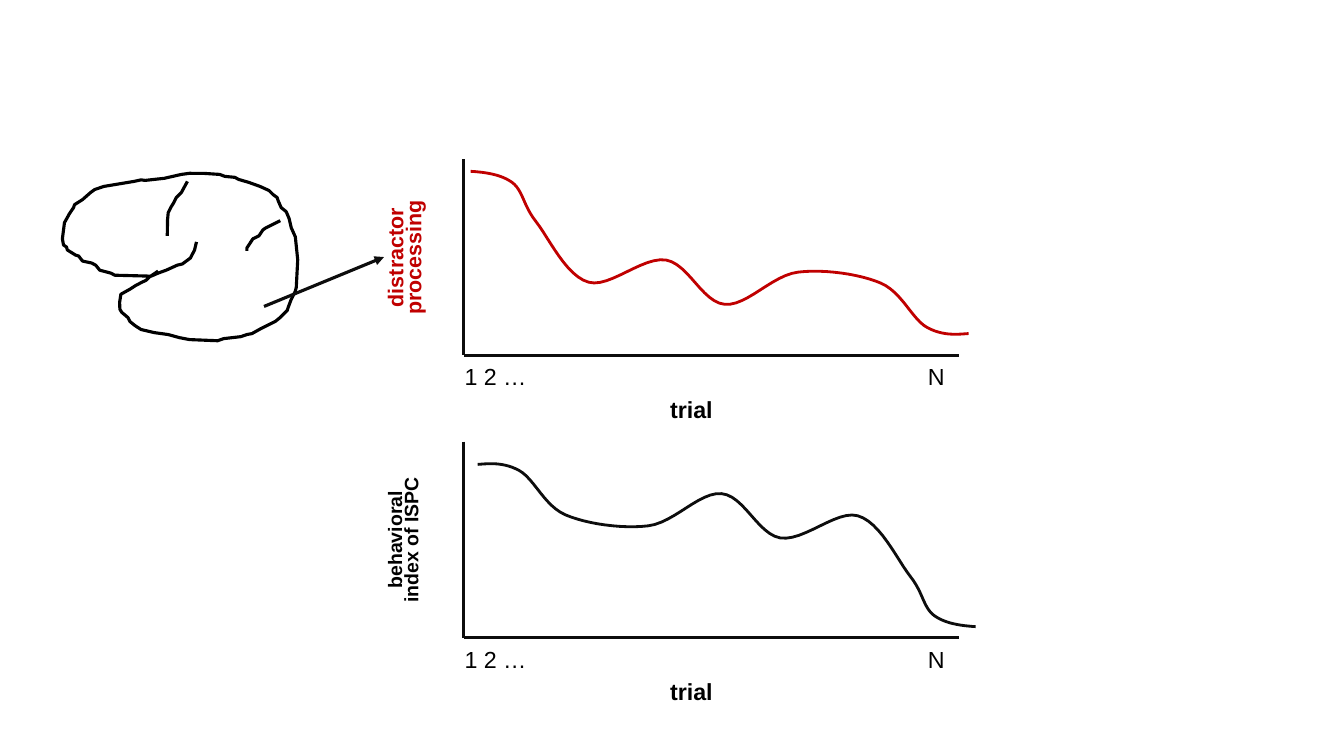
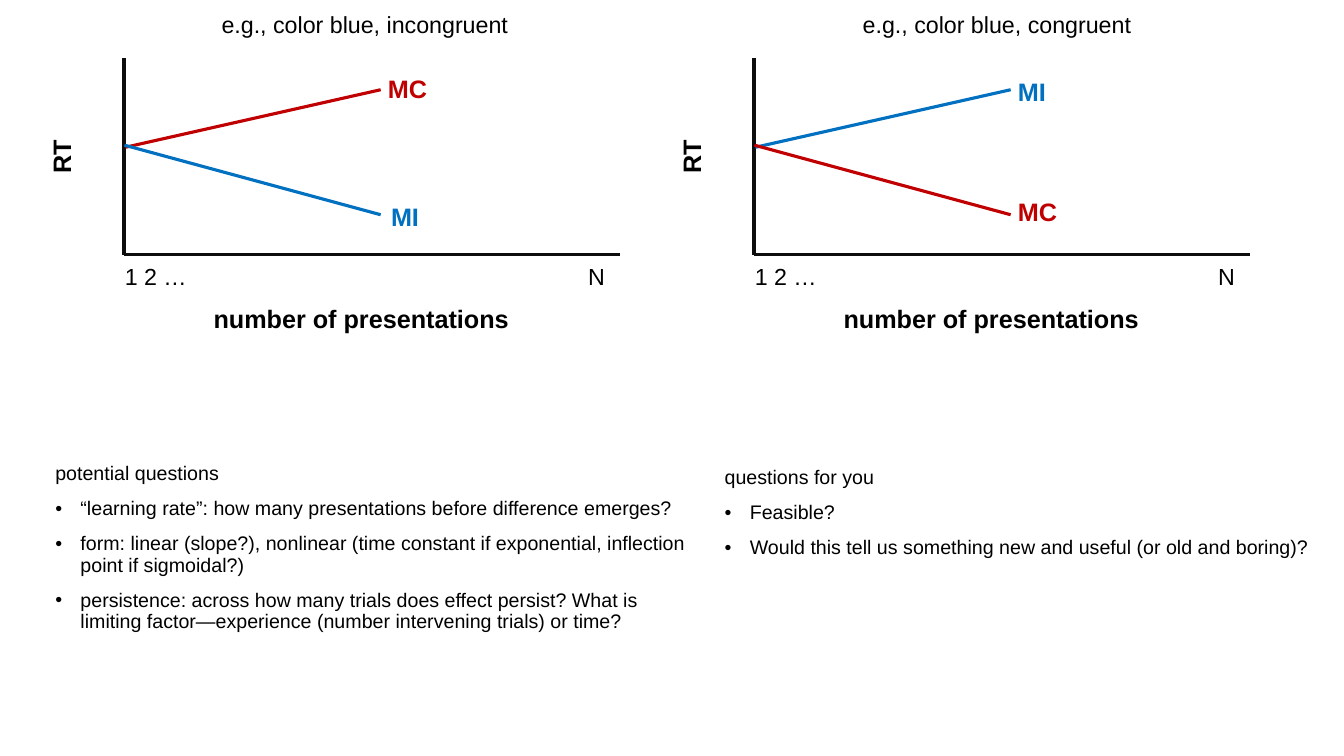
from lxml import etree
from pptx import Presentation
from pptx.dml.color import RGBColor
from pptx.enum.shapes import MSO_CONNECTOR
from pptx.enum.text import PP_ALIGN
from pptx.oxml.ns import qn
from pptx.util import Pt

STRAIGHT = MSO_CONNECTOR.STRAIGHT
LEFT, CENTER = PP_ALIGN.LEFT, PP_ALIGN.CENTER

# Shared style
FONT = "Arial"
BLACK, INK, RED, BLUE = "000000", "0D0D0D", "C00000", "0070C0"
LINE_WIDTH = 2.25
CURVE_WIDTH = 2
TICK_SIZE = 16.6
LABEL_SIZE = 18
LABEL_HEIGHT = 29.5

# Plot frame
AXIS_WIDTH, AXIS_HEIGHT = 354, 140
LAST_TICK = 331

# Brain outline and its two sulci
BRAIN = [
    (140.4, 172.8), (139, 178.6), (136.1, 184.3), (130.3, 188.6), (126.7, 189.4),
    (118.8, 193), (113, 195.1), (108, 197.3), (82.1, 196.6), (79.2, 195.1),
    (71.3, 193), (68.4, 189.4), (65.5, 187.9), (59, 186.5), (56.2, 182.9),
    (54, 182.2), (48.2, 178.6), (47.5, 176.4), (45.4, 175), (44.6, 170.6),
    (46.1, 159.1), (49.7, 152.6), (52.6, 148.3), (53.3, 146.2), (59, 142.6),
    (64.8, 137.5), (67.7, 135.4), (74.2, 133.2), (95.8, 129.6), (100.8, 128.5),
    (103.7, 128.9), (117.4, 127.4), (129.6, 124.6), (135.4, 123.8), (146.2, 123.9),
    (157, 124.6), (160.6, 126), (167.8, 126.7), (170.6, 128.2), (177.8, 130.3),
    (185.8, 133.2), (192.2, 136.1), (195.1, 139), (198, 141.1), (198.7, 143.3),
    (200.9, 148.3), (204.5, 151.2), (206.6, 156.2), (208.1, 162.7), (211, 169.2),
    (212.7, 185.6), (211.7, 205.2), (211, 208.1), (208.1, 213.8), (205.9, 219.6),
    (205.2, 221.8), (203, 223.9), (200.2, 226.8), (196.6, 229.7), (189.4, 233.3),
    (186.5, 234.7), (180, 238.3), (176.4, 239), (172.1, 240.5), (159.8, 241.9),
    (155.5, 243.4), (135.4, 242.6), (128.2, 241.2), (120.2, 239), (110.2, 237.6),
    (100.8, 235.4), (96.5, 232.6), (92.9, 229.7), (91.4, 226.8), (87.1, 223.2),
    (85.7, 221), (85.5, 216), (86.4, 210.2), (92.9, 206.6), (97.2, 203.8),
    (101.5, 201.6), (104.4, 200.2), (106.6, 198), (110.9, 195.1), (113, 193.7),
]
CENTRAL_SULCUS = [
    (133.9, 129.6), (129.6, 137.5), (126, 141.1), (123.8, 145.4), (122.4, 147.6),
    (120.2, 151.9), (119.7, 157), (119.5, 168.5),
]
REAR_SULCUS = [
    (200.2, 157.7), (190.1, 162.7), (187.9, 164.2), (185, 168.5), (180.7, 170.6),
    (177.8, 175), (176.4, 177.1), (176.4, 179.3),
]

# Trial curve: a start, then two control points and an end for each span
TRIAL_CURVE = [
    (336.2, 122.4),
    (347, 123.1), (357.8, 124.6), (365.8, 130.3),
    (373.7, 136.1), (373.7, 146.9), (383, 158.4),
    (392.4, 170.6), (404.6, 197.3), (420.5, 201.6),
    (435.6, 205.9), (459.4, 182.9), (475.9, 185.8),
    (491.8, 188.6), (501.8, 216), (517.7, 217.4),
    (533.5, 218.9), (551.5, 196.6), (570.2, 194.4),
    (589, 192.2), (614.2, 195.8), (629.3, 202.3),
    (644.4, 208.8), (651.6, 228.2), (662.4, 234),
    (673.2, 239.8), (682.6, 239), (691.9, 238.3),
]
BEHAVIOR_SHIFT = (5, 208.8)


def color(hex_code):
    return RGBColor.from_string(hex_code)


def add_line(shapes, start, end, hex_code, arrow=False):
    line = shapes.add_connector(STRAIGHT, *(Pt(v) for v in (*start, *end)))
    line.line.color.rgb = color(hex_code)
    line.line.width = Pt(LINE_WIDTH)
    properties = line._element.spPr
    if arrow:
        etree.SubElement(properties.find(qn("a:ln")), qn("a:tailEnd"), type="triangle")
    etree.SubElement(properties, qn("a:effectLst"))


def add_outline(shapes, points, hex_code, width=LINE_WIDTH):
    corners = [(Pt(x), Pt(y)) for x, y in points]
    builder = shapes.build_freeform(*corners[0])
    builder.add_line_segments(corners[1:], close=False)
    outline = builder.convert_to_shape()
    outline.shadow.inherit = False
    outline.fill.background()
    outline.line.color.rgb = color(hex_code)
    outline.line.width = Pt(width)
    return outline


def smooth_points(knots, steps=12):
    """Sample a chain of cubic Bezier spans."""
    points = [knots[0]]
    for first in range(0, len(knots) - 1, 3):
        span = knots[first:first + 4]
        for step in range(1, steps + 1):
            t = step / steps
            weights = ((1 - t) ** 3, 3 * t * (1 - t) ** 2, 3 * t * t * (1 - t), t ** 3)
            points.append(tuple(sum(w * knot[axis] for w, knot in zip(weights, span))
                                for axis in (0, 1)))
    return points


def add_paragraph(paragraph, text, size, hex_code=BLACK, bold=False,
                  align=LEFT, spacing=0.9):
    paragraph.alignment = align
    paragraph.line_spacing = spacing
    paragraph.space_before = Pt(10)
    run = paragraph.add_run()
    run.text = text
    run.font.name = FONT
    run.font.size = Pt(size)
    run.font.bold = bold
    run.font.color.rgb = color(hex_code)


def add_text_frame(shapes, left, top, width, height, rotation=0):
    box = shapes.add_textbox(Pt(left), Pt(top), Pt(width), Pt(height))
    box.rotation = rotation
    box.text_frame.word_wrap = True
    return box.text_frame


def add_label(shapes, left, top, width, text, size, **style):
    frame = add_text_frame(shapes, left, top, width, LABEL_HEIGHT)
    add_paragraph(frame.paragraphs[0], text, size, **style)


def add_plot(slide, left, top, x_label, y_label):
    """Axes, tick labels and titles; each label is (text, size, ...)."""
    shapes = slide.shapes.add_group_shape().shapes
    corner = (left, top + AXIS_HEIGHT)
    add_line(shapes, (left, top), corner, INK)
    add_line(shapes, corner, (left + AXIS_WIDTH, corner[1]), INK)

    # Axis titles
    x_text, x_size, dx, dy, width = x_label
    add_label(shapes, left + dx, top + dy, width, x_text, x_size, bold=True)
    y_text, y_size, y_color, spacing = y_label
    title = add_text_frame(shapes, left - 92.9, top + 52.2, 108, 36, rotation=270)
    add_paragraph(title.paragraphs[0], y_text, y_size, y_color, True, CENTER, spacing)

    # First and last trial, set apart by a tab stop
    ticks = add_text_frame(shapes, left - 6.5, top + 144, 360.7, LABEL_HEIGHT)
    add_paragraph(ticks.paragraphs[0], "1 2 …\tN", TICK_SIZE)
    properties = ticks.paragraphs[0]._p.get_or_add_pPr()
    tabs = etree.SubElement(properties, qn("a:tabLst"))
    etree.SubElement(tabs, qn("a:tab"), pos=str(Pt(LAST_TICK)), algn="l")


def add_rt_plot(slide, left, title, upper, lower):
    """RT plot; title is (text, dx, width), a branch (name, color, dx, dy)."""
    top = 41.8
    add_plot(slide, left, top, ("number of presentations", LABEL_SIZE, 56.9, 173.5, 234.7),
             ("RT", LABEL_SIZE, BLACK, 0.9))
    text, title_dx, width = title
    add_label(slide.shapes, left + title_dx, top - 36, width, text, TICK_SIZE)
    branches = ((upper, (1, 63.4), (183.3, 22.3)), (lower, (0.3, 61.9), (183.3, 111.6)))
    for (name, hex_code, dx, dy), start, end in branches:
        add_line(slide.shapes, (left + start[0], top + start[1]),
                 (left + end[0], top + end[1]), hex_code)
        add_label(slide.shapes, left + dx, top + dy, 46, name, LABEL_SIZE,
                  hex_code=hex_code, bold=True)


def add_questions(slide, left, top, width, heading, questions):
    frame = add_text_frame(slide.shapes, left, top, width, 134)
    add_paragraph(frame.paragraphs[0], heading, 14)
    for question in questions:
        paragraph = frame.add_paragraph()
        add_paragraph(paragraph, question, 14)
        properties = paragraph._p.get_or_add_pPr()
        properties.set("marL", str(Pt(18)))
        properties.set("indent", str(Pt(-18)))
        etree.SubElement(properties, qn("a:buFont"), typeface=FONT)
        etree.SubElement(properties, qn("a:buChar"), char="•")


def build_trial_slide(slide):
    # Plots of neural and behavioral change over trials
    trial = ("trial", TICK_SIZE, 140.4, 167, 47.5)
    add_plot(slide, 331.2, 113.8, trial, ("distractor processing", 15.3, RED, 0.7))
    add_plot(slide, 331.2, 315.4, trial, ("behavioral index of ISPC", 13.9, BLACK, 0.7))

    # Brain with arrow to the first plot
    brain = slide.shapes.add_group_shape().shapes
    for part in (BRAIN, CENTRAL_SULCUS, REAR_SULCUS):
        add_outline(brain, part, BLACK)
    add_line(slide.shapes, (188.6, 218.9), (274.3, 183.6), INK, arrow=True)

    # The behavioral curve is the neural one, moved down and turned half round
    neural = smooth_points(TRIAL_CURVE)
    add_outline(slide.shapes, neural, RED, CURVE_WIDTH)
    dx, dy = BEHAVIOR_SHIFT
    behavior = add_outline(slide.shapes, [(x + dx, y + dy) for x, y in neural],
                           INK, CURVE_WIDTH)
    behavior.rotation = 180


def build_prediction_slide(slide):
    # Predicted response times
    add_rt_plot(slide, 88.6, ("e.g., color blue, incongruent", 62.6, 229.7),
                ("MC", RED, 181.4, 9.4), ("MI", BLUE, 183.6, 100.8))
    add_rt_plot(slide, 538.6, ("e.g., color blue, congruent", 70.6, 213.8),
                ("MI", BLUE, 181.4, 11.5), ("MC", RED, 181.4, 97.2))

    # Questions
    add_questions(slide, 32.4, 327.6, 478, "potential questions", [
        "“learning rate”: how many presentations before difference emerges?",
        "form: linear (slope?), nonlinear (time constant if exponential, "
        "inflection point if sigmoidal?)",
        "persistence: across how many trials does effect persist? What is "
        "limiting factor—experience (number intervening trials) or time?",
    ])
    add_questions(slide, 510.5, 330.5, 442, "questions for you", [
        "Feasible?",
        "Would this tell us something new and useful (or old and boring)?",
    ])


def main():
    deck = Presentation()
    deck.slide_width, deck.slide_height = Pt(960), Pt(540)
    blank = deck.slide_layouts[6]
    for build in (build_trial_slide, build_prediction_slide):
        build(deck.slides.add_slide(blank))
    deck.save("out.pptx")


main()
